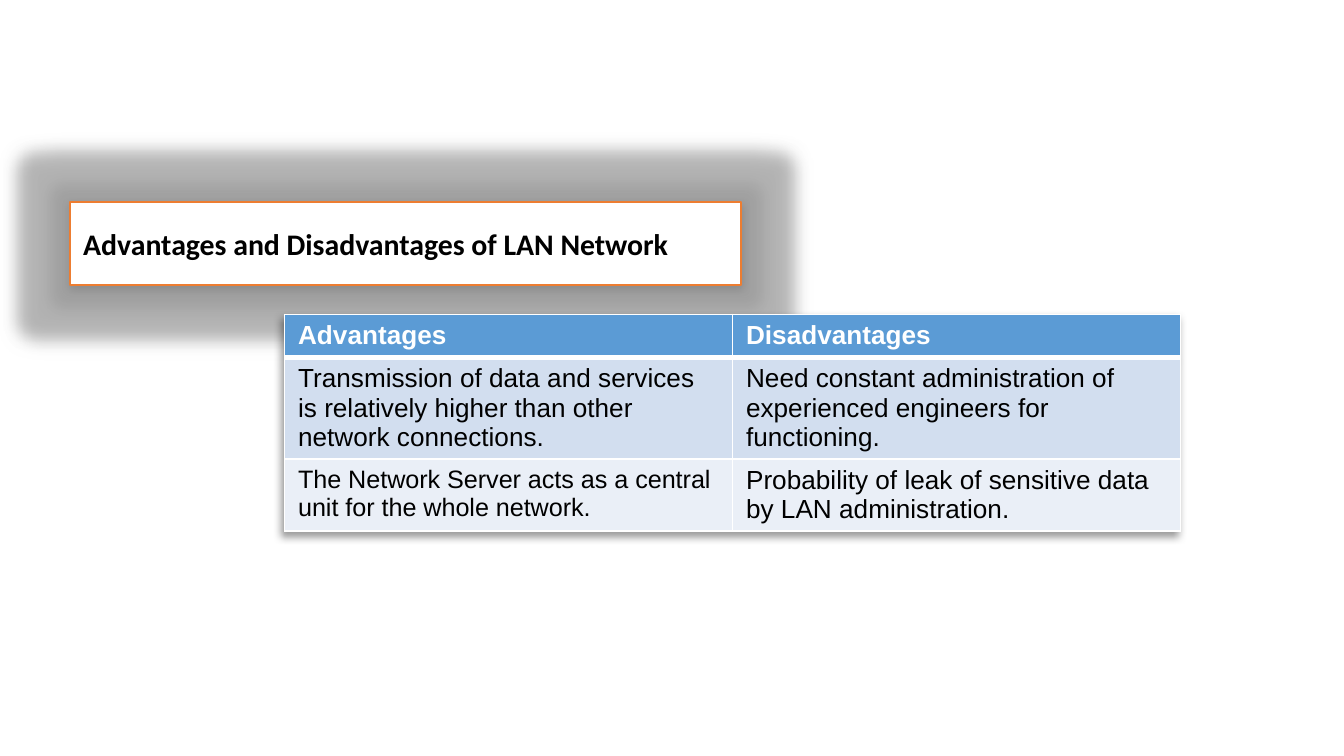
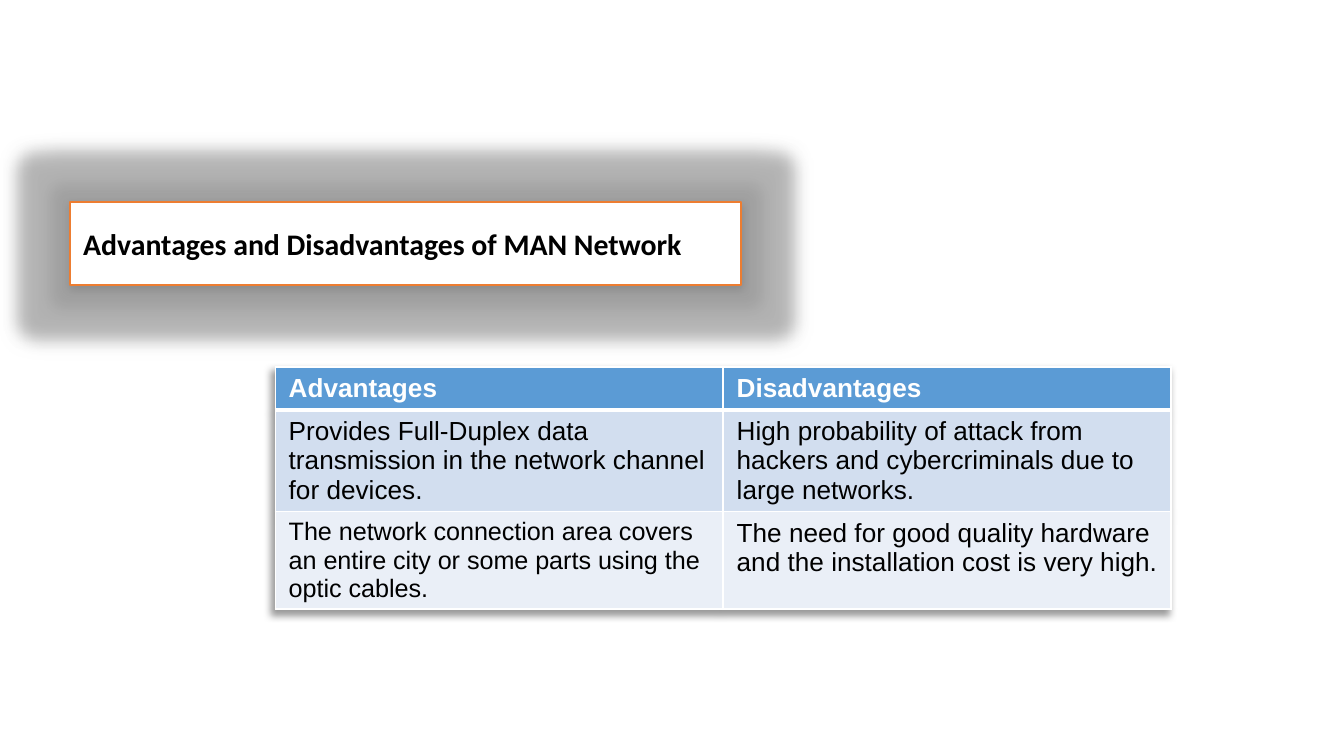
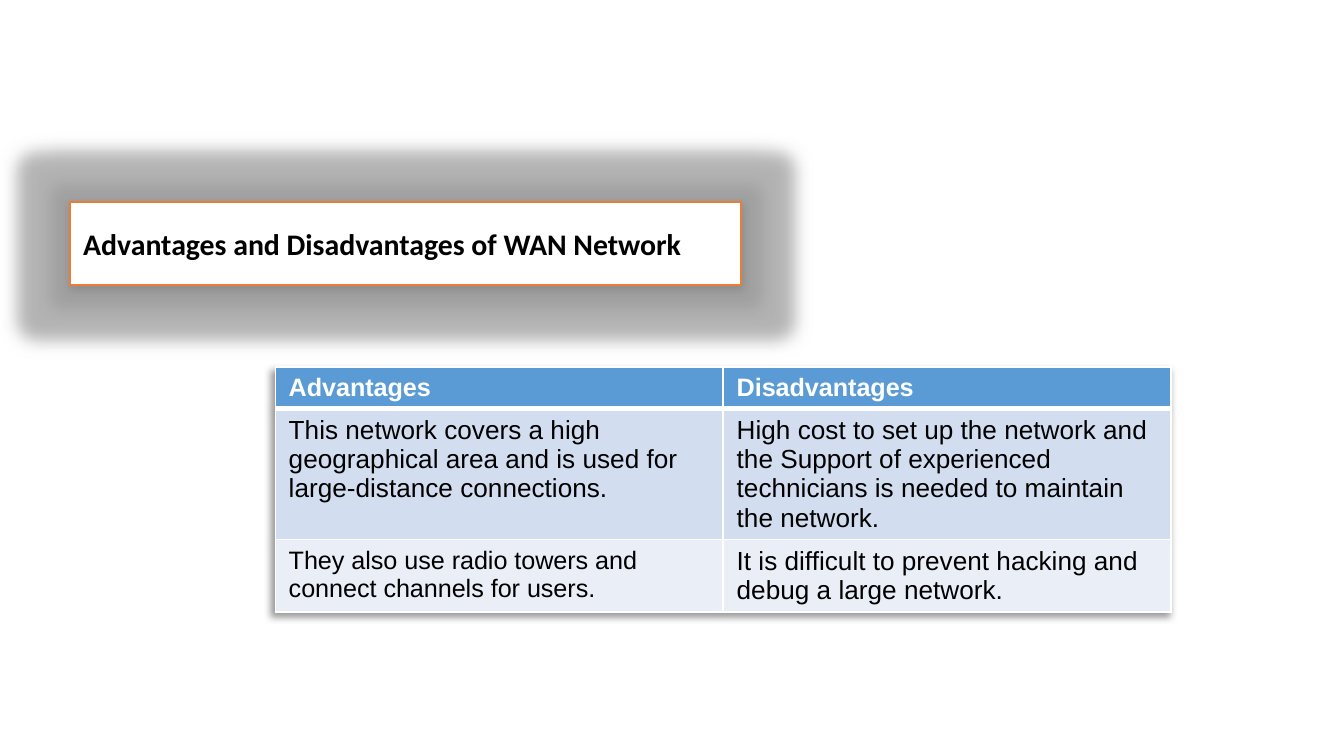
from dataclasses import dataclass

from lxml.etree import SubElement
from pptx import Presentation
from pptx.dml.color import RGBColor
from pptx.enum.shapes import MSO_SHAPE
from pptx.enum.text import MSO_ANCHOR, PP_ALIGN
from pptx.oxml import parse_xml
from pptx.oxml.ns import nsdecls, qn
from pptx.slide import Slide
from pptx.table import _Cell
from pptx.text.text import _Paragraph
from pptx.util import Length, Pt


@dataclass(frozen=True)
class Theme:
    white: str = "FFFFFF"
    black: str = "000000"
    title_line: str = "ED7D31"
    glow: str = "A5A5A5"
    header_fill: str = "5B9BD5"
    body_fills: tuple[str, str] = ("D2DEEF", "EAEFF7")
    title_font: str = "Calibri"
    table_font: str = "Arial"
    title_size: Length = Pt(16)
    table_size: Length = Pt(14)
    small_size: Length = Pt(13.5)
    thin_border: Length = Pt(1)
    header_border: Length = Pt(3)


@dataclass(frozen=True)
class TextStyle:
    font: str
    size: Length
    color: str
    bold: bool = False


@dataclass(frozen=True)
class NetworkSlide:
    network: str
    left: Length
    top: Length
    height: Length
    header_size: Length
    points: tuple[tuple[str, str], ...]  # (advantage, disadvantage)


THEME = Theme()
HEADINGS = ("Advantages", "Disadvantages")
COLUMN_WIDTH = Pt(240)
BODY_ROW_HEIGHT = Pt(29.5)

SLIDES = (
    NetworkSlide("LAN", Pt(152.5), Pt(168.5), Pt(118.8), THEME.table_size, (
        ("Transmission of data and services is relatively higher than other network connections.",
         "Need constant administration of experienced engineers for functioning."),
        ("The Network Server acts as a central unit for the whole network.",
         "Probability of leak of sensitive data by LAN administration."),
    )),
    NetworkSlide("MAN", Pt(147.5), Pt(196.7), Pt(135.4), THEME.table_size, (
        ("Provides Full-Duplex data transmission in the network channel for devices.",
         "High probability of attack from hackers and cybercriminals due to large networks."),
        ("The network connection area covers an entire city or some parts using the optic cables.",
         "The need for good quality hardware and the installation cost is very high."),
    )),
    NetworkSlide("WAN", Pt(147.5), Pt(196.7), Pt(118.8), THEME.small_size, (
        ("This network covers a high geographical area and is used for large-distance connections.",
         "High cost to set up the network and the Support of experienced technicians "
         "is needed to maintain the network."),
        ("They also use radio towers and connect channels for users.",
         "It is difficult to prevent hacking and debug a large network."),
    )),
)


def add_text(paragraph: _Paragraph, text: str, style: TextStyle) -> None:
    run = paragraph.add_run()
    run.text = text
    run.font.name = style.font
    run.font.size = style.size
    run.font.bold = style.bold
    run.font.color.rgb = RGBColor.from_string(style.color)


# Effects and borders
def add_color(parent, color: str, alpha: int) -> None:
    color_element = SubElement(parent, qn("a:srgbClr"), val=color)
    SubElement(color_element, qn("a:alpha"), val=str(alpha * 1000))


def add_shadow(effects, blur: Length, distance: Length, degrees: int,
               align: str, alpha: int) -> None:
    shadow = SubElement(effects, qn("a:outerShdw"), blurRad=str(blur), dist=str(distance),
                        dir=str(degrees * 60000), algn=align, rotWithShape="0")
    add_color(shadow, THEME.black, alpha)


def set_borders(cell: _Cell, top: Length, bottom: Length) -> None:
    properties = cell._tc.get_or_add_tcPr()
    widths = {"L": THEME.thin_border, "R": THEME.thin_border, "T": top, "B": bottom}
    for position, (side, width) in enumerate(widths.items()):
        properties.insert(position, parse_xml(
            f'<a:ln{side} {nsdecls("a")} w="{width}"><a:solidFill>'
            f'<a:srgbClr val="{THEME.white}"/></a:solidFill></a:ln{side}>'))


# Title box with a grey glow
def add_title(slide: Slide, text: str) -> None:
    shape = slide.shapes.add_shape(MSO_SHAPE.RECTANGLE, Pt(37.5), Pt(108), Pt(359.5), Pt(44.7))
    shape.fill.solid()
    shape.fill.fore_color.rgb = RGBColor.from_string(THEME.white)
    shape.line.color.rgb = RGBColor.from_string(THEME.title_line)
    shape.line.width = THEME.thin_border
    shape.shadow.inherit = False
    effects = shape._element.spPr.find(qn("a:effectLst"))
    add_color(SubElement(effects, qn("a:glow"), rad=str(Pt(18))), THEME.glow, 40)
    add_shadow(effects, Pt(4.5), Pt(1.5), 90, "ctr", 63)
    frame = shape.text_frame
    frame.word_wrap = True
    frame.vertical_anchor = MSO_ANCHOR.MIDDLE
    paragraph = frame.paragraphs[0]
    paragraph.alignment = PP_ALIGN.JUSTIFY
    add_text(paragraph, text, TextStyle(THEME.title_font, THEME.title_size, THEME.black, True))


# Comparison table
def body_style(row: int, column: int, last_row: int) -> TextStyle:
    small = row == last_row and column == 0
    return TextStyle(THEME.table_font, THEME.small_size if small else THEME.table_size, THEME.black)


def add_comparison(slide: Slide, content: NetworkSlide) -> None:
    rows = (HEADINGS, *content.points)
    last_row = len(rows) - 1
    graphic_frame = slide.shapes.add_table(
        len(rows), len(HEADINGS), content.left, content.top,
        COLUMN_WIDTH * len(HEADINGS), content.height)
    table = graphic_frame.table
    effects = SubElement(table._tbl.tblPr, qn("a:effectLst"))
    table._tbl.tblPr.insert(0, effects)
    add_shadow(effects, Pt(4), Pt(3), 135, "tr", 40)
    header_style = TextStyle(THEME.table_font, content.header_size, THEME.white, True)

    for row, texts in enumerate(rows):
        header = row == 0
        table.rows[row].height = Pt(0) if header else BODY_ROW_HEIGHT
        fill = THEME.header_fill if header else THEME.body_fills[(row - 1) % 2]
        top = THEME.header_border if row == 1 else THEME.thin_border
        bottom = THEME.header_border if header else THEME.thin_border
        for column, text in enumerate(texts):
            cell = table.cell(row, column)
            cell.fill.solid()
            cell.fill.fore_color.rgb = RGBColor.from_string(fill)
            set_borders(cell, top, bottom)
            style = header_style if header else body_style(row, column, last_row)
            add_text(cell.text_frame.paragraphs[0], text, style)
    graphic_frame.height = content.height


def main() -> None:
    presentation = Presentation()
    presentation.slide_width = Pt(720)
    presentation.slide_height = Pt(405)
    blank_layout = presentation.slide_layouts[6]
    for content in SLIDES:
        slide = presentation.slides.add_slide(blank_layout)
        add_title(slide, f"Advantages and Disadvantages of {content.network} Network")
        add_comparison(slide, content)
    presentation.save("out.pptx")


if __name__ == "__main__":
    main()
